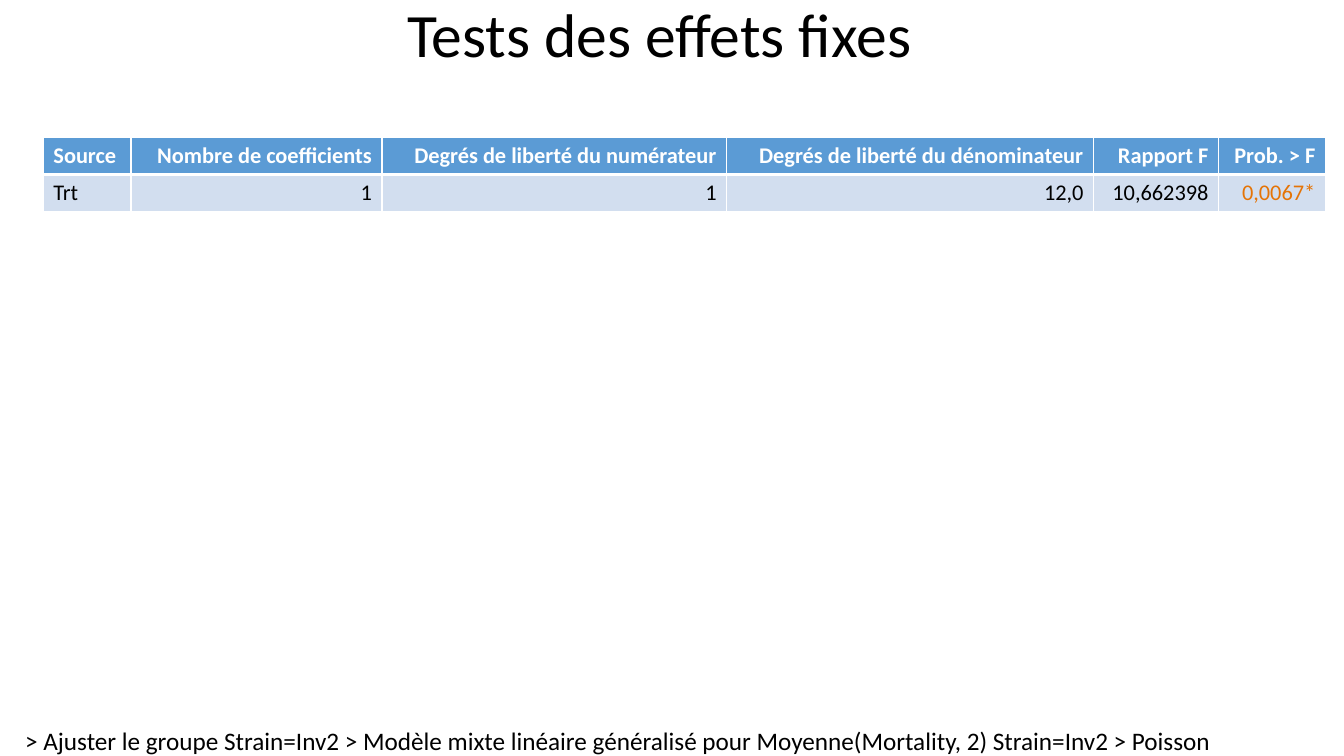
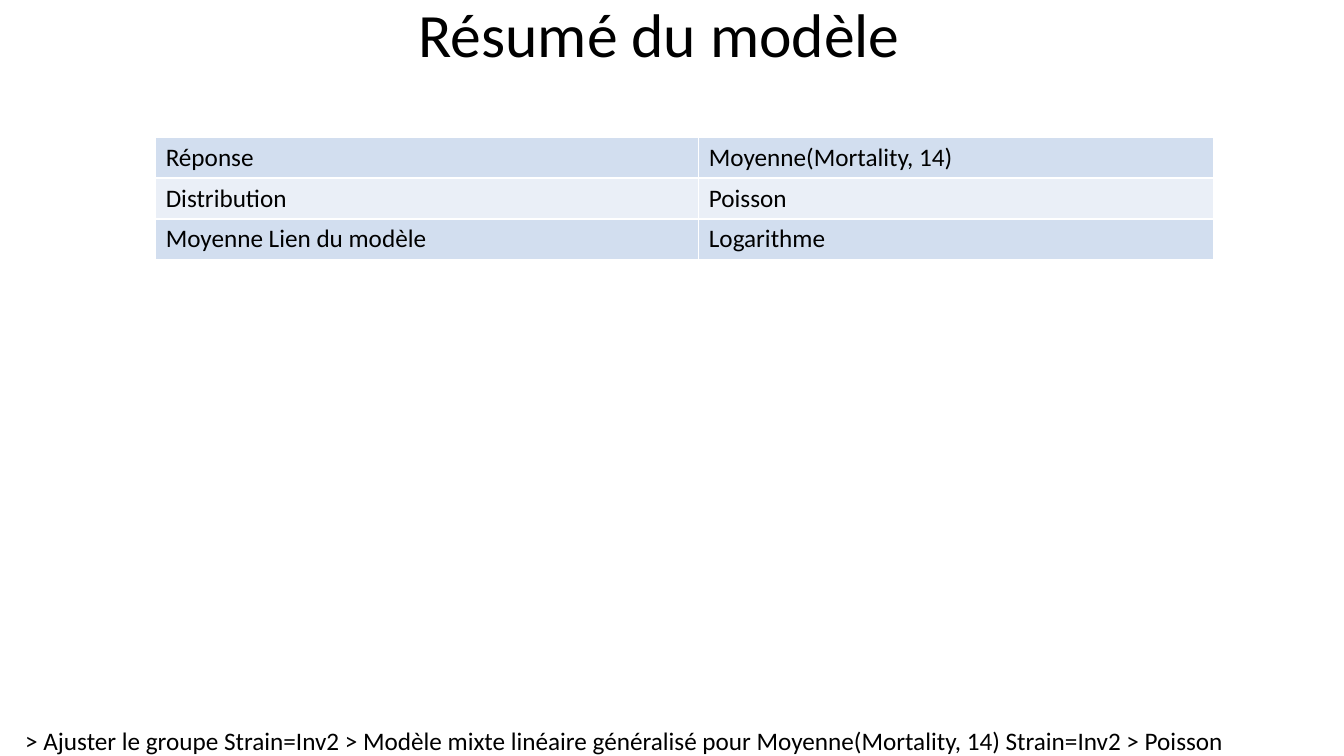
from dataclasses import dataclass

from lxml.etree import SubElement
from pptx import Presentation
from pptx.dml.color import RGBColor
from pptx.enum.text import MSO_ANCHOR as Anchor, MSO_AUTO_SIZE as AutoSize, PP_ALIGN as Align
from pptx.oxml.ns import qn
from pptx.slide import Slide
from pptx.table import _Cell as Cell
from pptx.text.text import TextFrame, _Paragraph as Paragraph
from pptx.util import Pt

FONT = "Calibri"
BLACK, WHITE = "000000", "FFFFFF"
HEADER_BLUE, BAND_DARK, BAND_LIGHT = "5B9BD5", "D2DEEF", "EAEFF7"
SIGNIFICANT = "E57406"
SLIDE_WIDTH, SLIDE_HEIGHT = 960, 540
TITLE_WIDTH, TITLE_HEIGHT = 942, 54
FOOTER_LEFT, FOOTER_WIDTH, FOOTER_HEIGHT = 18, 870, 22
TABLE_TOP = 98


@dataclass(frozen=True)
class ResultTable:
    left: float
    column_widths: tuple[float, ...]
    row_height: float
    size: float
    rows: tuple[tuple[str, ...], ...]
    has_header: bool = False
    numeric: bool = False


@dataclass(frozen=True)
class ResultSlide:
    title: str
    response: str
    table: ResultTable


RESULTS = (
    ResultSlide(
        "Tests des effets fixes",
        "Moyenne(Mortality, 2)",
        ResultTable(
            left=31,
            column_widths=(62.6, 179.3, 246.2, 262.1, 89.3, 76.3),
            row_height=26.6,
            size=16,
            rows=(
                ("Source", "Nombre de coefficients", "Degrés de liberté du numérateur",
                 "Degrés de liberté du dénominateur", "Rapport F", "Prob. > F"),
                ("Trt", "1", "1", "12,0", "10,662398", "0,0067*"),
            ),
            has_header=True,
            numeric=True,
        ),
    ),
    ResultSlide(
        "Résumé du modèle",
        "Moyenne(Mortality, 14)",
        ResultTable(
            left=111.2,
            column_widths=(388, 367.4),
            row_height=29.2,
            size=18,
            rows=(
                ("Réponse", "Moyenne(Mortality, 14)"),
                ("Distribution", "Poisson"),
                ("Moyenne Lien du modèle", "Logarithme"),
            ),
        ),
    ),
)


def rgb(colour: str) -> RGBColor:
    return RGBColor.from_string(colour)


def add_run(paragraph: Paragraph, text: str, size: float,
            colour: str = BLACK, bold: bool = False) -> None:
    run = paragraph.add_run()
    run.text = text
    run.font.name = FONT
    run.font.size = Pt(size)
    run.font.bold = bold
    run.font.color.rgb = rgb(colour)


def add_text_frame(slide: Slide, left: float, top: float,
                   width: float, height: float) -> TextFrame:
    """Add a text box without margins and return its text frame."""
    frame = slide.shapes.add_textbox(Pt(left), Pt(top), Pt(width), Pt(height)).text_frame
    frame.margin_left = frame.margin_top = frame.margin_right = frame.margin_bottom = 0
    return frame


def add_title(slide: Slide, title: str) -> None:
    frame = add_text_frame(slide, 0, 0, TITLE_WIDTH, TITLE_HEIGHT)
    frame.word_wrap = True
    frame.vertical_anchor = Anchor.MIDDLE
    paragraph = frame.paragraphs[0]
    paragraph.alignment = Align.CENTER
    paragraph.line_spacing = 0.9
    add_run(paragraph, title, 44)


def add_footer(slide: Slide, response: str) -> None:
    """Write the analysis steps that led to the result."""
    frame = add_text_frame(slide, FOOTER_LEFT, SLIDE_HEIGHT - FOOTER_HEIGHT,
                           FOOTER_WIDTH, FOOTER_HEIGHT)
    frame.word_wrap = False
    frame.auto_size = AutoSize.SHAPE_TO_FIT_TEXT
    steps = ("Ajuster le groupe Strain=Inv2",
             f"Modèle mixte linéaire généralisé pour {response} Strain=Inv2",
             "Poisson")
    add_run(frame.paragraphs[0], "> " + " > ".join(steps), 18)


def set_borders(cell: Cell, top: float = 1, bottom: float = 1) -> None:
    properties = cell._tc.get_or_add_tcPr()
    for side, width in (("L", 1), ("R", 1), ("T", top), ("B", bottom)):
        line = SubElement(properties, qn(f"a:ln{side}"), w=str(Pt(width)))
        fill = SubElement(line, qn("a:solidFill"))
        SubElement(fill, qn("a:srgbClr"), val=WHITE)


def add_table(slide: Slide, spec: ResultTable) -> None:
    row_count, column_count = len(spec.rows), len(spec.column_widths)
    table = slide.shapes.add_table(
        row_count, column_count, Pt(spec.left), Pt(TABLE_TOP),
        Pt(sum(spec.column_widths)), Pt(spec.row_height * row_count)).table
    table.first_row = spec.has_header
    table.horz_banding = False
    for column, width in zip(table.columns, spec.column_widths):
        column.width = Pt(width)
    for row_index, texts in enumerate(spec.rows):
        table.rows[row_index].height = Pt(spec.row_height)
        body_index = row_index - spec.has_header
        is_header = body_index < 0
        band = BAND_LIGHT if body_index % 2 else BAND_DARK
        for column_index, text in enumerate(texts):
            cell = table.cell(row_index, column_index)
            set_borders(cell,
                        top=3 if spec.has_header and body_index == 0 else 1,
                        bottom=3 if is_header else 1)
            cell.fill.solid()
            cell.fill.fore_color.rgb = rgb(HEADER_BLUE if is_header else band)
            paragraph = cell.text_frame.paragraphs[0]
            if spec.numeric and column_index > 0:
                paragraph.alignment = Align.RIGHT
            colour = WHITE if is_header else SIGNIFICANT if text.endswith("*") else BLACK
            add_run(paragraph, text, spec.size, colour, bold=is_header)


def main() -> None:
    deck = Presentation()
    deck.slide_width, deck.slide_height = Pt(SLIDE_WIDTH), Pt(SLIDE_HEIGHT)
    blank = deck.slide_layouts[6]
    for result in RESULTS:
        slide = deck.slides.add_slide(blank)
        add_footer(slide, result.response)
        add_title(slide, result.title)
        add_table(slide, result.table)
    deck.save("out.pptx")


if __name__ == "__main__":
    main()
